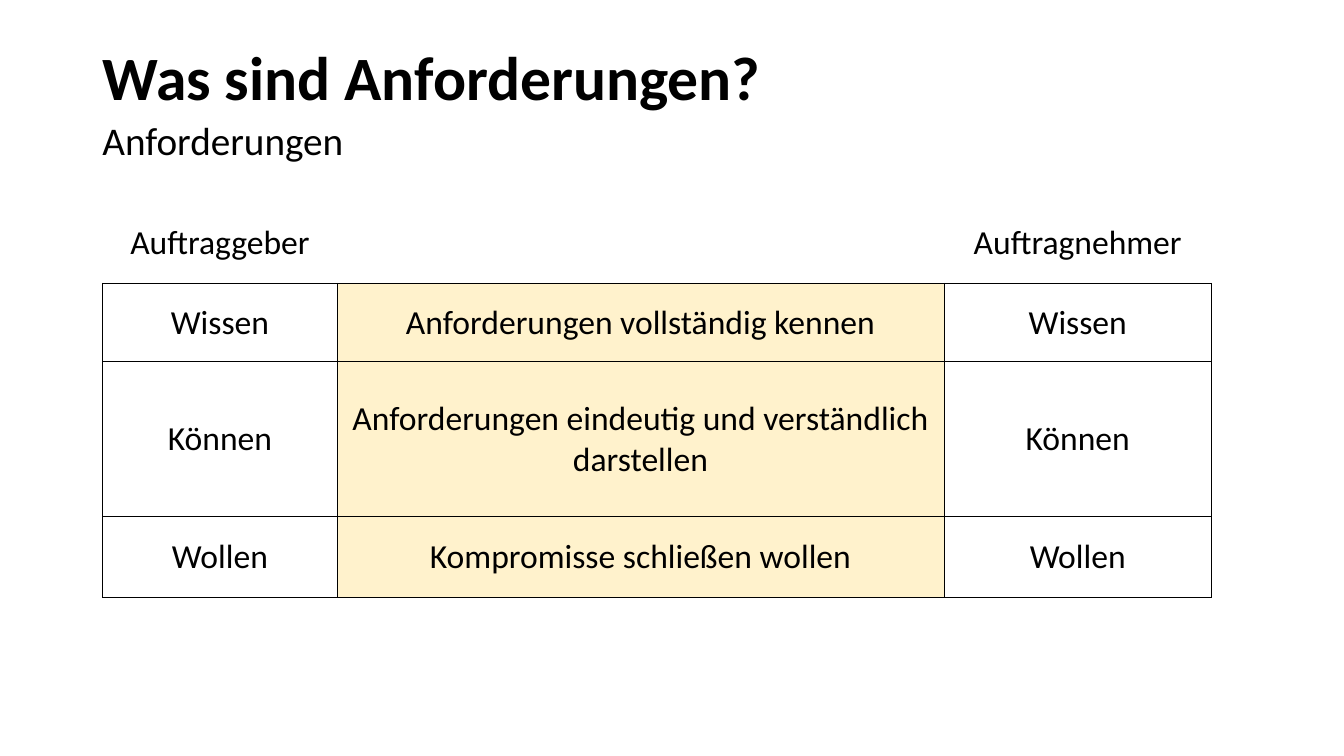
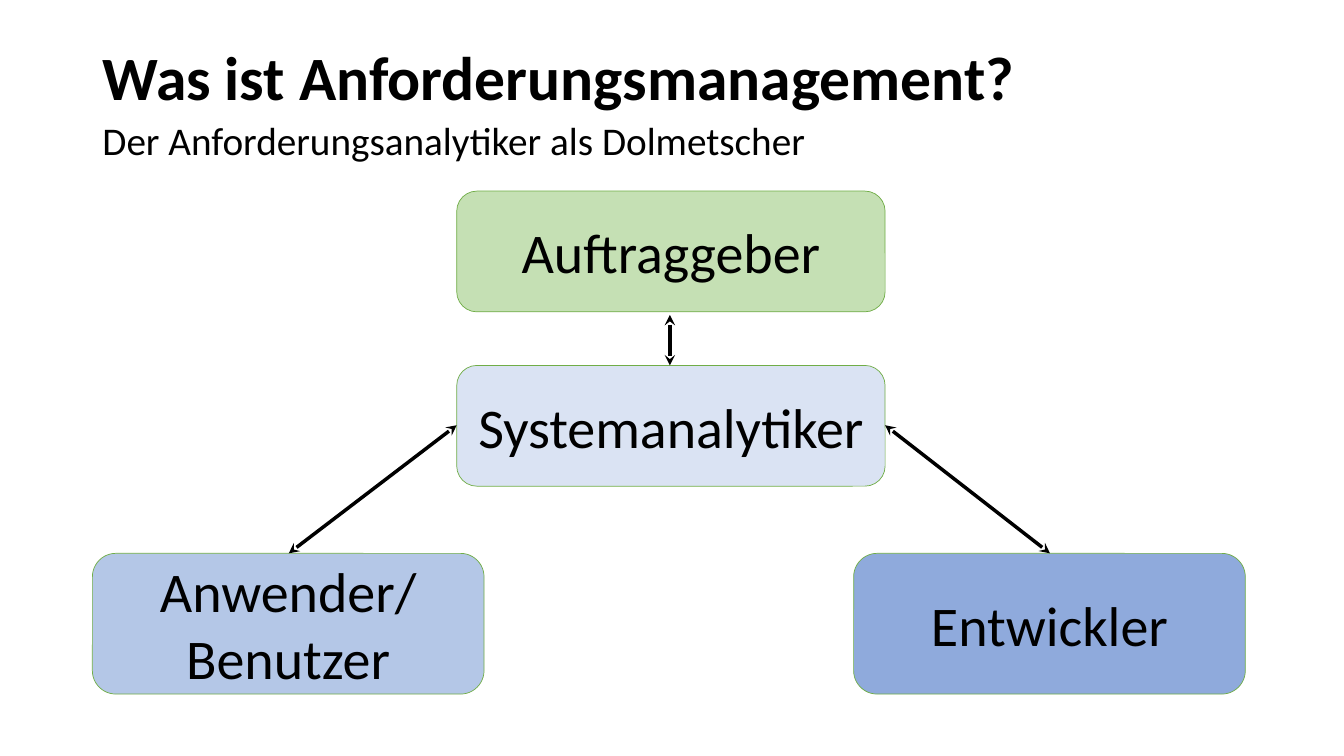
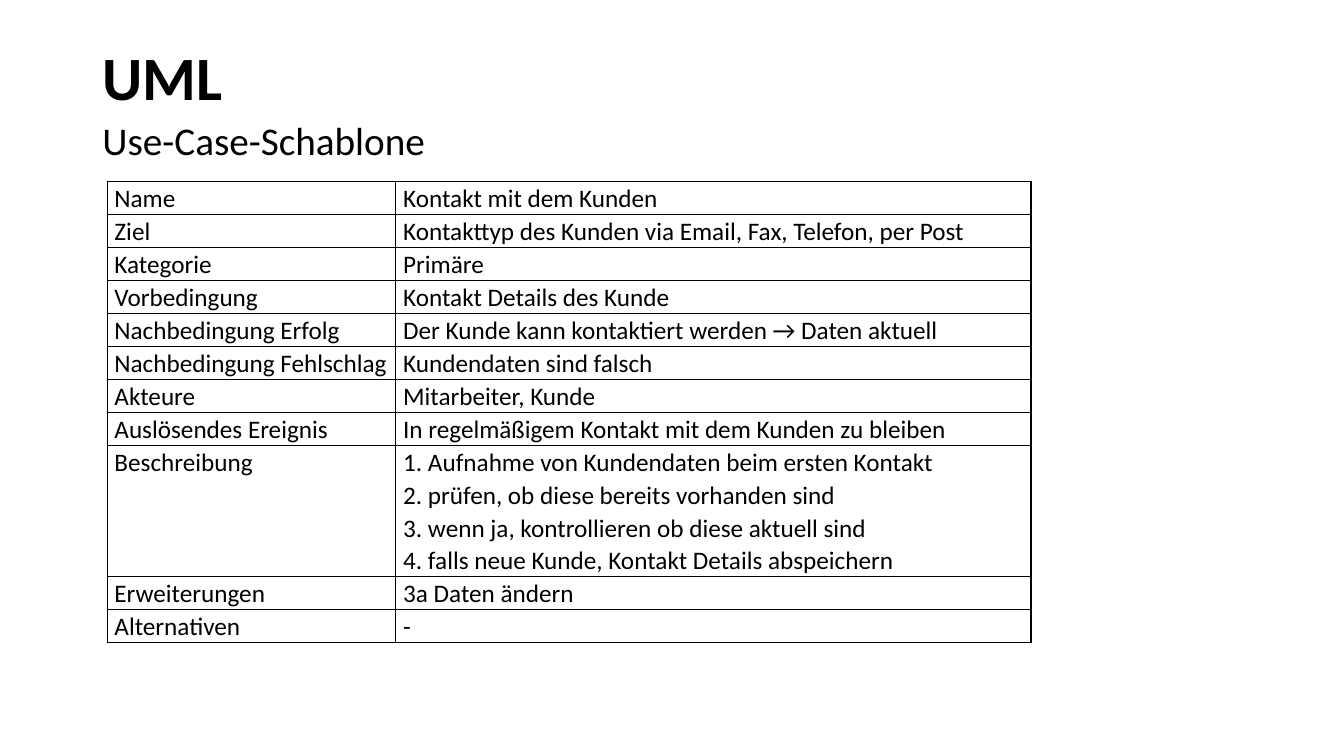
from lxml.etree import SubElement
from pptx import Presentation
from pptx.dml.color import RGBColor
from pptx.enum.shapes import MSO_CONNECTOR, MSO_SHAPE
from pptx.enum.text import MSO_ANCHOR, MSO_AUTO_SIZE, PP_ALIGN
from pptx.oxml.ns import qn
from pptx.util import Pt

PX = 9525  # 96 px to the inch
FONT = "Calibri"
COLORS = {
    "black": "000000",
    "cream": "FFF2CC",
    "outline": "70AD47",
    "client": "C5E0B4",
    "analyst": "DAE3F3",
    "user": "B4C7E7",
    "developer": "8FAADC",
}
RGB = {name: RGBColor.from_string(value) for name, value in COLORS.items()}


def write_lines(frame, lines, size, align=PP_ALIGN.LEFT, spacing=1.0, bold=False):
    """Write each line as its own paragraph, without bullets."""
    for i, line in enumerate(lines):
        paragraph = frame.paragraphs[0] if i == 0 else frame.add_paragraph()
        properties = paragraph._p.get_or_add_pPr()
        properties.set("marL", "0")
        properties.set("indent", "0")
        SubElement(properties, qn("a:buNone"))
        paragraph.alignment = align
        paragraph.line_spacing = spacing
        paragraph.space_before = Pt(0)
        run = paragraph.add_run()
        run.text = line
        run.font.name = FONT
        run.font.size = Pt(size)
        run.font.bold = bold
        run.font.color.rgb = RGB["black"]


def style_cell(cell, borders, margins, fill=None):
    """Set borders (points) and margins (px), both as left, right, top, bottom."""
    properties = cell._tc.get_or_add_tcPr()
    for side, width in zip("LRTB", borders):
        border = SubElement(properties, qn(f"a:ln{side}"), w=str(Pt(width)))
        if width:
            solid = SubElement(border, qn("a:solidFill"))
            SubElement(solid, qn("a:srgbClr"), val=COLORS["black"])
        else:
            SubElement(border, qn("a:noFill"))
    if fill:
        cell.fill.solid()
        cell.fill.fore_color.rgb = RGB[fill]
    else:
        cell.fill.background()
    (cell.margin_left, cell.margin_right,
     cell.margin_top, cell.margin_bottom) = [m * PX for m in margins]


prs = Presentation()
prs.slide_width, prs.slide_height = 1280 * PX, 720 * PX

# Titles and subtitles
headings = [
    ("Was sind Anforderungen?", "Anforderungen"),
    ("Was ist Anforderungsmanagement?", "Der Anforderungsanalytiker als Dolmetscher"),
    ("UML", "Use-Case-Schablone"),
]
slides = []
for heading, subheading in headings:
    slide = prs.slides.add_slide(prs.slide_layouts[1])
    title, subtitle = slide.placeholders
    for holder, top, height, anchor in [
        (title, 38, 77, MSO_ANCHOR.MIDDLE),
        (subtitle, 115, 48, MSO_ANCHOR.TOP),
    ]:
        holder.left, holder.top = 88 * PX, top * PX
        holder.width, holder.height = 1104 * PX, height * PX
        holder.text_frame.auto_size = MSO_AUTO_SIZE.NONE
        holder.text_frame.vertical_anchor = anchor
    write_lines(title.text_frame, [heading], 44, spacing=0.9, bold=True)
    write_lines(subtitle.text_frame, [subheading], 28, spacing=0.8)
    slides.append(slide)
requirements, management, use_case = slides

# Slide 1: what both parties contribute
parties = [
    ("Auftraggeber", "", "Auftragnehmer"),
    ("Wissen", "Anforderungen vollständig kennen", "Wissen"),
    ("Können", "Anforderungen eindeutig und verständlich darstellen", "Können"),
    ("Wollen", "Kompromisse schließen wollen", "Wollen"),
]
party_widths = [223, 578, 255]
party_heights = [77, 74, 148, 77]
party_table = requirements.shapes.add_table(
    4, 3, 98 * PX, 193 * PX, sum(party_widths) * PX, sum(party_heights) * PX).table
party_table.first_row = party_table.horz_banding = False
for column, width in zip(party_table.columns, party_widths):
    column.width = width * PX
for r, (texts, height) in enumerate(zip(parties, party_heights)):
    party_table.rows[r].height = height * PX
    for c, text in enumerate(texts):
        cell = party_table.cell(r, c)
        if r == 0:
            borders = (0, 0, 0, 1)
        else:
            at_edges = (c == 0, c == 2, r == 1, r == 3)
            borders = [1 if at_edge else 0.5 for at_edge in at_edges]
        style_cell(cell, borders, (1, 1, 1, 0), "cream" if r and c == 1 else None)
        cell.vertical_anchor = MSO_ANCHOR.MIDDLE
        if text:
            write_lines(cell.text_frame, [text], 24, PP_ALIGN.CENTER)

# Slide 2: the analyst between the roles
roles = [
    (["Auftraggeber"], "client", 435, 182, 408, 115),
    (["Systemanalytiker"], "analyst", 435, 348, 408, 115),
    (["Entwickler"], "developer", 813, 527, 373, 134),
    (["Anwender/", "Benutzer"], "user", 88, 527, 373, 134),
]
for lines, color, left, top, width, height in roles:
    role = management.shapes.add_shape(
        MSO_SHAPE.ROUNDED_RECTANGLE, left * PX, top * PX, width * PX, height * PX)
    role.shadow.inherit = False
    role.fill.solid()
    role.fill.fore_color.rgb = RGB[color]
    role.line.color.rgb = RGB["outline"]
    role.line.width = Pt(0.5)
    role.text_frame.vertical_anchor = MSO_ANCHOR.MIDDLE
    write_lines(role.text_frame, lines, 40, PP_ALIGN.CENTER)

for ends in [(435, 405, 275, 527), (638, 300, 638, 348), (843, 405, 1000, 527)]:
    arrow = management.shapes.add_connector(
        MSO_CONNECTOR.STRAIGHT, *[end * PX for end in ends])
    arrow.line.color.rgb = RGB["black"]
    arrow.line.width = Pt(2.5)
    outline = arrow.line._get_or_add_ln()
    for tip in ("headEnd", "tailEnd"):
        SubElement(outline, qn(f"a:{tip}"), type="stealth")
    SubElement(arrow._element.spPr, qn("a:effectLst"))

# Slide 3: use case template
fields = [
    ("Name", ["Kontakt mit dem Kunden"]),
    ("Ziel", ["Kontakttyp des Kunden via Email, Fax, Telefon, per Post"]),
    ("Kategorie", ["Primäre"]),
    ("Vorbedingung", ["Kontakt Details des Kunde"]),
    ("Nachbedingung Erfolg", ["Der Kunde kann kontaktiert werden → Daten aktuell"]),
    ("Nachbedingung Fehlschlag", ["Kundendaten sind falsch"]),
    ("Akteure", ["Mitarbeiter, Kunde"]),
    ("Auslösendes Ereignis", ["In regelmäßigem Kontakt mit dem Kunden zu bleiben"]),
    ("Beschreibung", [
        "1. Aufnahme von Kundendaten beim ersten Kontakt",
        "2. prüfen, ob diese bereits vorhanden sind",
        "3. wenn ja, kontrollieren ob diese aktuell sind",
        "4. falls neue Kunde, Kontakt Details abspeichern",
    ]),
    ("Erweiterungen", ["3a Daten ändern"]),
    ("Alternativen", ["-"]),
]
field_widths = [275, 605]
field_heights = [28 if len(entry) == 1 else 117 for _, entry in fields]
field_table = use_case.shapes.add_table(
    len(fields), 2, 102 * PX, 173 * PX,
    sum(field_widths) * PX, sum(field_heights) * PX).table
field_table.first_row = field_table.horz_banding = False
for column, width in zip(field_table.columns, field_widths):
    column.width = width * PX
for r, (field, entry) in enumerate(fields):
    field_table.rows[r].height = field_heights[r] * PX
    for c, lines in enumerate([[field], entry]):
        cell = field_table.cell(r, c)
        style_cell(cell, (1, 1, 1, 1), (7, 7, 0, 0))
        write_lines(cell.text_frame, lines, 18, spacing=1.07)

prs.save("out.pptx")
